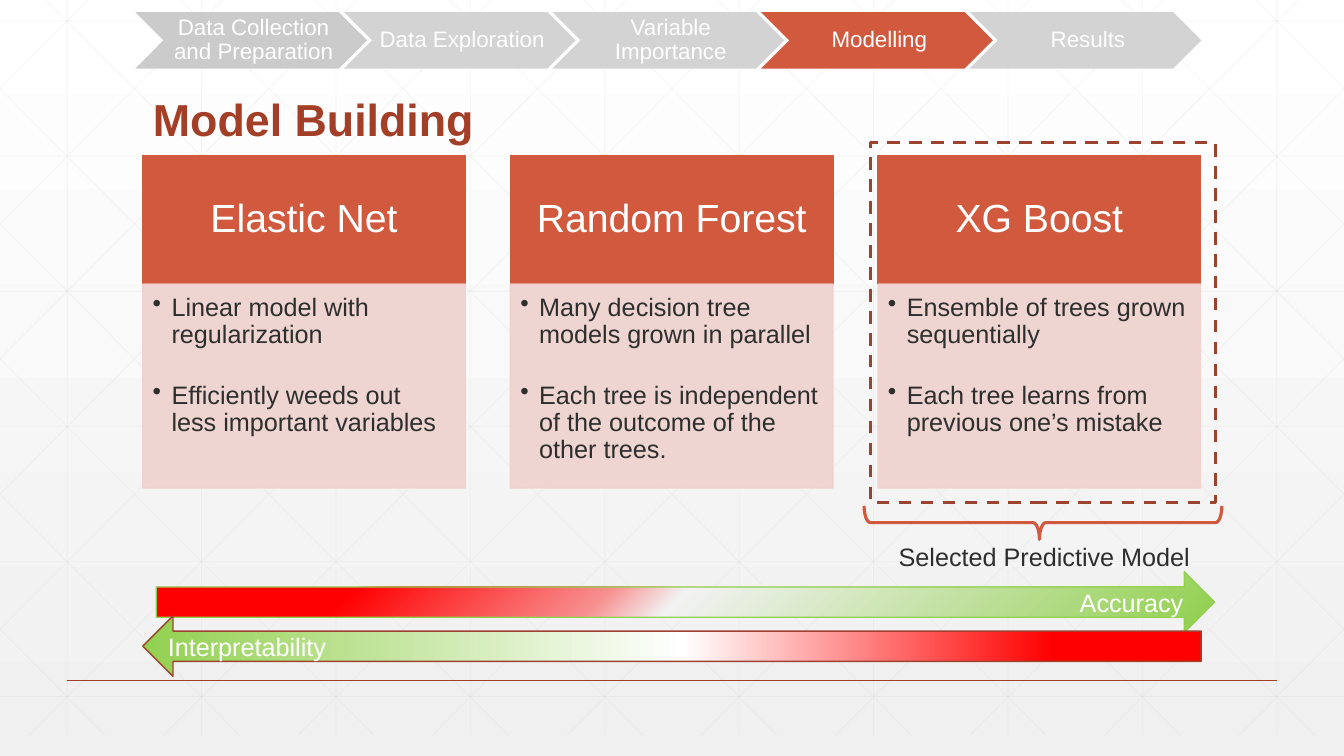
from lxml import etree
from pptx import Presentation
from pptx.dml.color import RGBColor
from pptx.enum.dml import MSO_LINE
from pptx.enum.shapes import MSO_CONNECTOR, MSO_SHAPE, MSO_SHAPE_TYPE
from pptx.enum.text import MSO_ANCHOR, PP_ALIGN
from pptx.oxml import parse_xml
from pptx.oxml.ns import nsdecls, qn
from pptx.util import Pt

LEFT, CENTER, RIGHT = PP_ALIGN.LEFT, PP_ALIGN.CENTER, PP_ALIGN.RIGHT
TOP, MIDDLE, BOTTOM = MSO_ANCHOR.TOP, MSO_ANCHOR.MIDDLE, MSO_ANCHOR.BOTTOM
RECTANGLE, CHEVRON, BRACE = MSO_SHAPE.RECTANGLE, MSO_SHAPE.CHEVRON, MSO_SHAPE.RIGHT_BRACE
RIGHT_ARROW, LEFT_ARROW = MSO_SHAPE.RIGHT_ARROW, MSO_SHAPE.LEFT_ARROW
STRAIGHT, DASH, AUTO_SHAPE = MSO_CONNECTOR.STRAIGHT, MSO_LINE.DASH, MSO_SHAPE_TYPE.AUTO_SHAPE

ORANGE, RUST, BROWN, PINK = "D15A3E", "A43F27", "9B432E", "EED2CE"
GREEN, WHITE, DARK, GRID = "92D050", "FFFFFF", "2D2E2D", "D9D9D9"


def paint(fill, color, alpha=100):
    """Give a fill, line fill or font fill one colour."""
    fill.solid()
    fill.fore_color.rgb = RGBColor.from_string(color)
    if alpha < 100:
        tint = fill._xPr.find(".//" + qn("a:srgbClr"))
        etree.SubElement(tint, qn("a:alpha")).set("val", str(alpha * 1000))


def write(shape, *texts, size=18, color=WHITE, bold=False, align=CENTER, anchor=MIDDLE,
          insets=(7.2, 3.6, 7.2, 3.6), spacing=1.0, gap=0, bullet=False):
    """Set one paragraph per text, with gap points between them."""
    frame = shape.text_frame
    frame.word_wrap = True
    frame.vertical_anchor = anchor
    frame.margin_left, frame.margin_top, frame.margin_right, frame.margin_bottom = map(Pt, insets)
    for index, text in enumerate(texts):
        para = frame.add_paragraph() if index else frame.paragraphs[0]
        para.alignment = align
        para.line_spacing = spacing
        para.space_before = Pt(gap if index else 0)
        span = para.add_run()
        span.text = text
        span.font.name = "Arial"
        span.font.size = Pt(size)
        span.font.bold = bold
        paint(span.font.fill, color)
        if bullet:
            properties = para._p.get_or_add_pPr()
            properties.set("marL", str(Pt(13.5)))
            properties.set("indent", str(Pt(-13.5)))
            etree.SubElement(properties, qn("a:buChar")).set("char", "•")


deck = Presentation()
deck.slide_width, deck.slide_height = Pt(960), Pt(540)
page = deck.slides.add_slide(deck.slide_layouts[5])
shapes = page.shapes

# Background shade
backdrop = page.background.fill
backdrop.gradient()
backdrop.gradient_angle = 270
for stop, color in zip(backdrop.gradient_stops, (WHITE, "F0F0F0")):
    stop.color.rgb = RGBColor.from_string(color)

# Background grid: uprights, levels and mirrored diagonals
grid = [(48 + 96 * k, 0, 48 + 96 * k, 525) for k in range(10)]
grid += [(0, 15 + 96.5 * k, 960, 15 + 96.5 * k) for k in range(6)]
slope = 525 / 522
for k in range(-5, 10):
    start = 33 + 96 * k
    x1, x2 = max(start, 0), min(start + 522, 960)
    y1, y2 = (x1 - start) * slope, (x2 - start) * slope
    grid += [(x1, y1, x2, y2), (960 - x1, y1, 960 - x2, y2)]
rules = [(ends, GRID, 0.5, 25) for ends in grid]
rules.append(((48, 486, 912, 486), RUST, 1, 100))
for ends, color, width, alpha in rules:
    rule = shapes.add_connector(STRAIGHT, *map(Pt, ends))
    rule.line.width = Pt(width)
    paint(rule.line.fill, color, alpha)
    etree.SubElement(rule._element.spPr, qn("a:effectLst"))

# Title, raised above the grid
title = shapes.title
title.left, title.top, title.width, title.height = Pt(102), Pt(18), Pt(756), Pt(90)
write(title, "Model Building", size=32, color=RUST, bold=True, align=LEFT,
      anchor=BOTTOM, spacing=0.9)
shapes._spTree.append(title._element)

# Model cards
models = [
    ("Elastic Net", "Linear model with regularization",
     "Efficiently weeds out less important variables"),
    ("Random Forest", "Many decision tree models grown in parallel",
     "Each tree is independent of the outcome of the other trees."),
    ("XG Boost", "Ensemble of trees grown sequentially",
     "Each tree learns from previous one’s mistake"),
]
for index, (name, *points) in enumerate(models):
    left = Pt(102 + 262.6 * index)
    header = shapes.add_shape(RECTANGLE, left, Pt(111), Pt(230.4), Pt(92))
    body = shapes.add_shape(RECTANGLE, left, Pt(203), Pt(230.4), Pt(145.5))
    for box, color, alpha in ((header, ORANGE, 100), (body, PINK, 90)):
        paint(box.fill, color, alpha)
        paint(box.line.fill, color, alpha)
        box.line.width = Pt(1)
    write(header, name, size=28, insets=(16, 8.6, 16, 8.6), spacing=0.9)
    write(body, *points, color=DARK, align=LEFT, anchor=TOP,
          insets=(7.2, 7.2, 10, 11.5), spacing=0.9, gap=24, bullet=True)

# Accuracy and interpretability arrows
CORNER = '<a:path path="circle"><a:fillToRect l="100000" t="100000"/></a:path>'
ACROSS = '<a:lin ang="0" scaled="0"/>'
arrows = [
    (RIGHT_ARROW, 111.6, 408.5, "Accuracy", RIGHT, GREEN, CORNER,
     [(0, WHITE), (1, GREEN), (51, "F2F2F2"), (58, "F78E8E"), (81, "FF0000")]),
    (LEFT_ARROW, 102, 440, "Interpretability", LEFT, BROWN, ACROSS,
     [(0, GREEN), (51, WHITE), (86, "FF0000")]),
]
for kind, left, top, label, align, edge, direction, stops in arrows:
    arrow = shapes.add_shape(kind, Pt(left), Pt(top), Pt(756), Pt(43.2))
    arrow.fill.gradient()
    shade = arrow._element.spPr.find(qn("a:gradFill"))
    marks = "".join(f'<a:gs pos="{place * 1000}"><a:srgbClr val="{color}"/></a:gs>'
                    for place, color in stops)
    shade.getparent().replace(shade, parse_xml(
        f'<a:gradFill {nsdecls("a")} rotWithShape="1"><a:gsLst>{marks}</a:gsLst>'
        f'{direction}</a:gradFill>'))
    paint(arrow.line.fill, edge)
    arrow.line.width = Pt(1)
    write(arrow, label, align=align, insets=(7.2, 3.6, 11.5, 3.6))

# Selected model: dashed frame, brace and label
frame_box = shapes.add_shape(RECTANGLE, Pt(622), Pt(102), Pt(246), Pt(257))
frame_box.line.dash_style = DASH
brace = shapes.add_shape(BRACE, Pt(733), Pt(245.5), Pt(24), Pt(255.6))
brace.rotation = 90
brace.adjustments[0], brace.adjustments[1] = 0.19, 0.51
for outline, color in ((frame_box, BROWN), (brace, ORANGE)):
    outline.fill.background()
    paint(outline.line.fill, color)
    outline.line.width = Pt(2.25)
caption = shapes.add_textbox(Pt(610), Pt(383), Pt(272), Pt(29))
write(caption, "Selected Predictive Model", color=DARK, anchor=TOP)

# Progress chevrons
steps = [("Data Collection and Preparation", "CACBCA"), ("Data Exploration", "D3D3D3"),
         ("Variable Importance", "D3D3D3"), ("Modelling", ORANGE), ("Results", "D3D3D3")]
for index, (step, color) in enumerate(steps):
    chevron = shapes.add_shape(CHEVRON, Pt(96.6 + 149 * index), Pt(8.6), Pt(165.6), Pt(40.4))
    paint(chevron.fill, color)
    chevron.line.fill.background()
    write(chevron, step, size=16, insets=(5, 1.5, 1.5, 1.5), spacing=0.9)

# Flat look for every preset shape
for shape in shapes:
    if shape.shape_type == AUTO_SHAPE:
        shape.shadow.inherit = False

deck.save("out.pptx")
